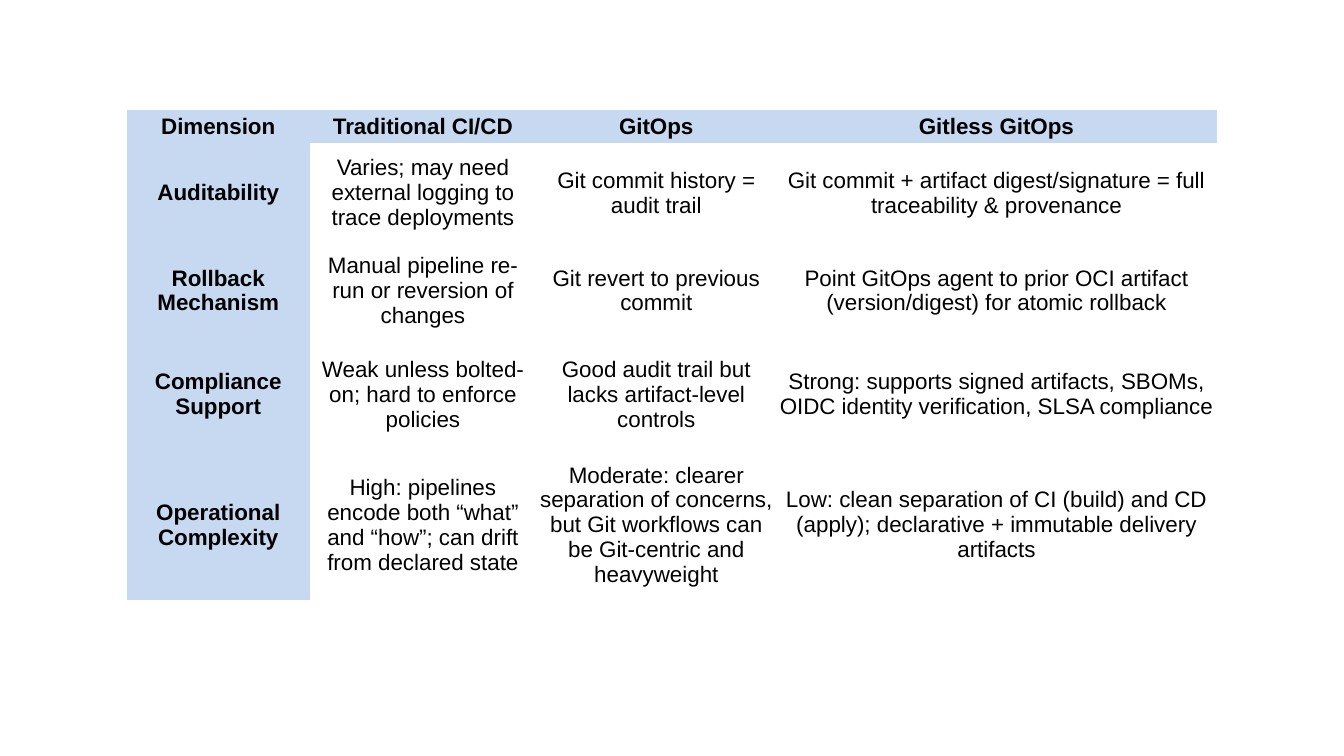
from dataclasses import dataclass
from pptx import Presentation as Deck
from pptx.dml.color import RGBColor as Color
from pptx.enum.text import MSO_ANCHOR as Anchor, PP_ALIGN as Align
from pptx.oxml.ns import qn
from pptx.util import Inches, Pt


@dataclass(frozen=True)
class Theme:
    font: str = "Arial"
    size: int = 16
    ink: str = "000000"
    head: str = "C6D9F1"
    plain: str = "{2D5ABB26-0587-4C30-8999-92F81FD0307C}"
    side: float = 0.03
    edge: float = 0.01


class Page:
    def __init__(self, deck, theme):
        self.theme = theme
        self.wide, self.high = deck.slide_width, deck.slide_height
        self.slide = deck.slides.add_slide(deck.slide_layouts[6])

    def across(self, share):
        return round(self.wide * share / 100)

    def down(self, share):
        return round(self.high * share / 100)

    def run(self, para, text, bold):
        run = para.add_run()
        run.text = text
        font = run.font
        font.name, font.size, font.bold = self.theme.font, Pt(self.theme.size), bold
        font.color.rgb = Color.from_string(self.theme.ink)

    def cell(self, cell, text, head):
        cell.margin_left = cell.margin_right = Inches(self.theme.side)
        cell.margin_top = cell.margin_bottom = Inches(self.theme.edge)
        cell.vertical_anchor = Anchor.MIDDLE
        if head:
            cell.fill.solid()
            cell.fill.fore_color.rgb = Color.from_string(self.theme.head)
        else:
            cell.fill.background()
        para = cell.text_frame.paragraphs[0]
        para.alignment = Align.CENTER
        self.run(para, text, head)

    def table(self, left, top, cols, rows, data):
        table = self.slide.shapes.add_table(
            len(rows), len(cols), self.across(left), self.down(top),
            self.across(sum(cols)), self.down(sum(rows))).table
        table._tbl.tblPr.find(qn("a:tableStyleId")).text = self.theme.plain
        table.horz_banding = False
        for col, share in zip(table.columns, cols):
            col.width = self.across(share)
        for row, share in zip(table.rows, rows):
            row.height = self.down(share)
        for r, line in enumerate(data):
            for c, text in enumerate(line):
                self.cell(table.cell(r, c), text, r == 0 or c == 0)


FACTS = [
    ("Dimension", "Traditional CI/CD", "GitOps", "Gitless GitOps"),
    ("Auditability",
     "Varies; may need external logging to trace deployments",
     "Git commit history = audit trail",
     "Git commit + artifact digest/signature = full traceability & provenance"),
    ("Rollback Mechanism",
     "Manual pipeline re-run or reversion of changes",
     "Git revert to previous commit",
     "Point GitOps agent to prior OCI artifact (version/digest) for atomic rollback"),
    ("Compliance Support",
     "Weak unless bolted-on; hard to enforce policies",
     "Good audit trail but lacks artifact-level controls",
     "Strong: supports signed artifacts, SBOMs, OIDC identity verification, SLSA compliance"),
    ("Operational Complexity",
     "High: pipelines encode both “what” and “how”; can drift from declared state",
     "Moderate: clearer separation of concerns, but Git workflows can be Git-centric and heavyweight",
     "Low: clean separation of CI (build) and CD (apply); declarative + immutable delivery artifacts"),
]


def main():
    deck = Deck()
    deck.slide_width, deck.slide_height = Inches(13.33), Inches(7.5)
    page = Page(deck, Theme())
    page.table(9.45, 14.53, (13.58, 16.88, 17.85, 32.78),
               (4.4, 13.2, 12.67, 14.8, 19.73), FACTS)
    deck.save("out.pptx")


if __name__ == "__main__":
    main()
